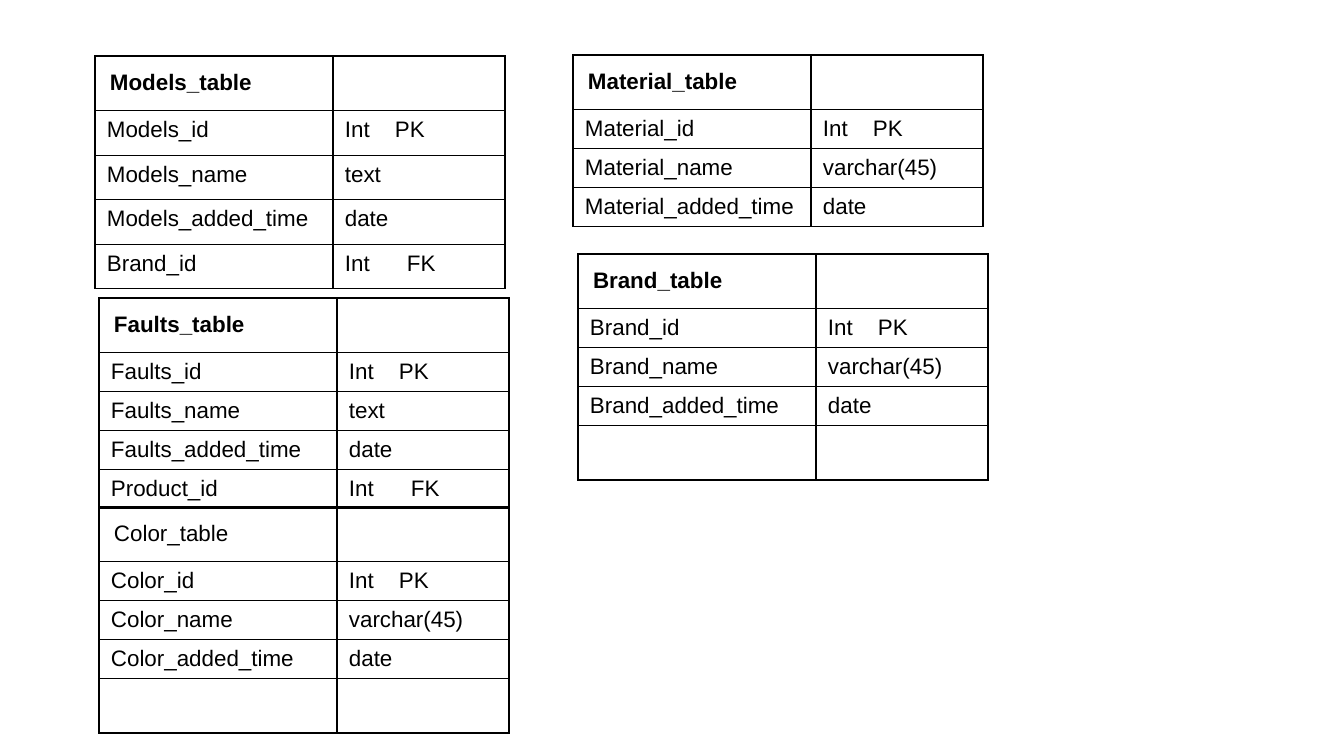
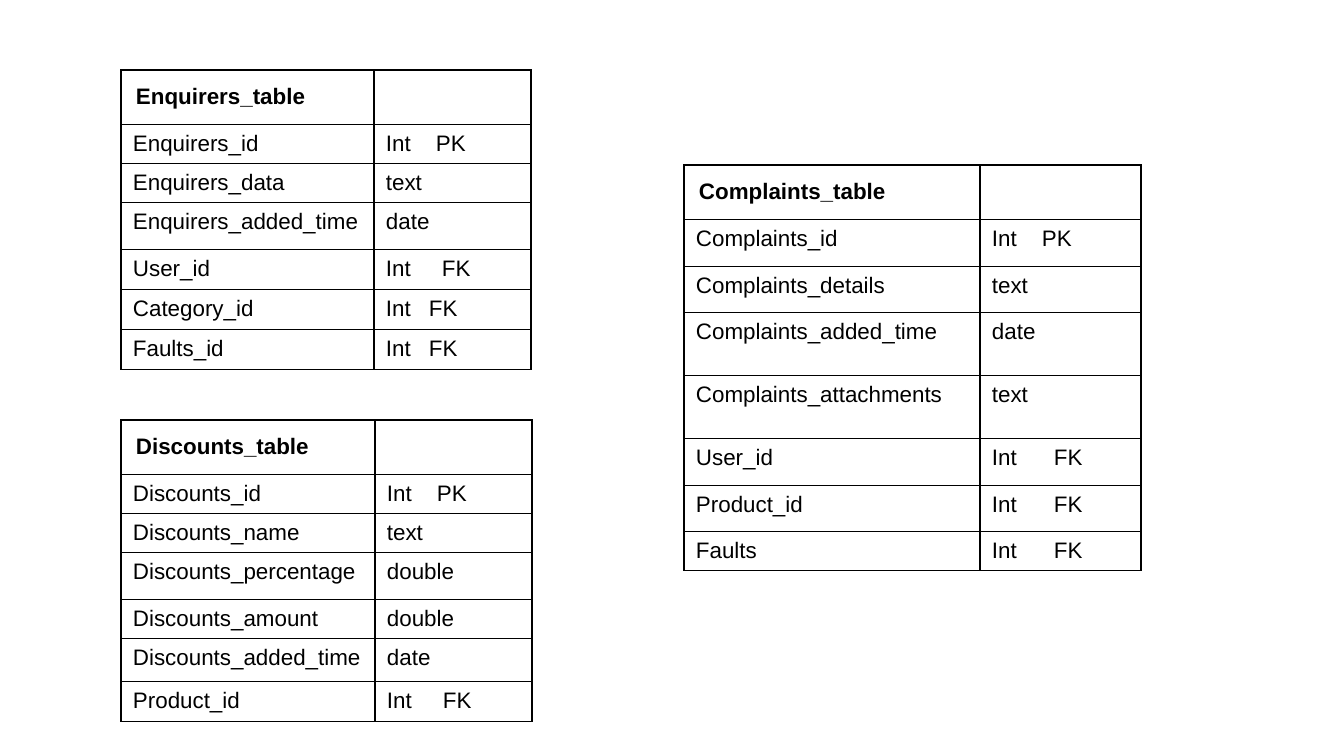
from dataclasses import dataclass

from lxml.etree import SubElement
from pptx import Presentation
from pptx.dml.color import RGBColor
from pptx.enum.text import MSO_ANCHOR
from pptx.oxml.ns import qn
from pptx.util import Emu, Pt

PX_PER_INCH = 134.4


def px(length):
    return Emu(round(length * 914400 / PX_PER_INCH))


@dataclass(frozen=True)
class Theme:
    font: str = "Arial"
    ink: str = "000000"
    text_size: int = 12
    line_spacing: float = 0.93
    header_height: int = 48
    row_height: int = 39
    header_indent: int = 3


THEME = Theme()
CELL_MARGINS = {"margin_left": 12, "margin_top": 8, "margin_right": 12, "margin_bottom": 7}


@dataclass(frozen=True)
class Key:
    """An integer key column whose role starts at a tab stop, in px."""
    role: str
    tab: int


PRIMARY = Key("PK", 50)
FOREIGN = Key("FK", 62)
FOREIGN_MEDIUM = Key("FK", 56)
FOREIGN_NARROW = Key("FK", 43)


@dataclass(frozen=True)
class Entity:
    """Position, column widths and fields of one database table.

    Each field is (name, type) or (name, type, row height).
    """
    title: str
    origin: tuple
    columns: tuple
    fields: tuple
    line_width: float = 1
    bold_title: bool = True


NARROW = (238, 172)
EMPTY = ("", "", THEME.header_height)

CATALOGUE = (
    Entity("Brand_table", (578, 254), NARROW, (
        ("Brand_id", PRIMARY), ("Brand_name", "varchar(45)"),
        ("Brand_added_time", "date"), EMPTY)),
    Entity("Color_table", (99, 507), NARROW, (
        ("Color_id", PRIMARY), ("Color_name", "varchar(45)"),
        ("Color_added_time", "date"), EMPTY), bold_title=False),
    Entity("Models_table", (95, 56), NARROW, (
        ("Models_id", PRIMARY, 45), ("Models_name", "text", 44),
        ("Models_added_time", "date", 45), ("Brand_id", FOREIGN, 44))),
    Entity("Material_table", (573, 55), NARROW, (
        ("Material_id", PRIMARY), ("Material_name", "varchar(45)"),
        ("Material_added_time", "date"))),
    Entity("Faults_table", (99, 298), NARROW, (
        ("Faults_id", PRIMARY), ("Faults_name", "text"),
        ("Faults_added_time", "date"), ("Product_id", FOREIGN))),
)

REQUESTS = (
    Entity("Complaints_table", (684, 165), (296, 161), (
        ("Complaints_id", PRIMARY, 47), ("Complaints_details", "text", 46),
        ("Complaints_added_time", "date", 63), ("Complaints_attachments", "text", 63),
        ("User_id", FOREIGN, 47), ("Product_id", FOREIGN, 46),
        ("Faults", FOREIGN)), 0.75),
    Entity("Enquirers_table", (121, 70), (253, 157), (
        ("Enquirers_id", PRIMARY), ("Enquirers_data", "text"),
        ("Enquirers_added_time", "date", 47), ("User_id", FOREIGN_MEDIUM, 40),
        ("Category_id", FOREIGN_NARROW, 40), ("Faults_id", FOREIGN_NARROW, 40)), 0.75),
    Entity("Discounts_table", (121, 420), (254, 157), (
        ("Discounts_id", PRIMARY), ("Discounts_name", "text"),
        ("Discounts_percentage", "double", 47), ("Discounts_amount", "double"),
        ("Discounts_added_time", "date", 43), ("Product_id", FOREIGN_MEDIUM, 40)), 0.75),
)


def format_object(target, values):
    for name, value in values.items():
        setattr(target, name, value)


def outline_cell(cell, line_width):
    properties = cell._tc.get_or_add_tcPr()
    for side in ("lnL", "lnR", "lnT", "lnB"):
        line = SubElement(properties, qn(f"a:{side}"), w=str(Pt(line_width)))
        fill = SubElement(line, qn("a:solidFill"))
        SubElement(fill, qn("a:srgbClr"), val=THEME.ink)
    cell.fill.background()


def write_cell(cell, content, bold=False):
    format_object(cell, {name: px(value) for name, value in CELL_MARGINS.items()})
    paragraph = cell.text_frame.paragraphs[0]
    paragraph.line_spacing = THEME.line_spacing
    run = paragraph.add_run()
    if isinstance(content, Key):
        run.text = f"Int\t{content.role}"
        stops = SubElement(paragraph._p.get_or_add_pPr(), qn("a:tabLst"))
        SubElement(stops, qn("a:tab"), pos=str(px(content.tab)), algn="l")
    else:
        run.text = content
    format_object(run.font, {"name": THEME.font, "size": Pt(THEME.text_size), "bold": bold})
    run.font.color.rgb = RGBColor.from_string(THEME.ink)


def write_header(cell, title, bold):
    write_cell(cell, title, bold)
    cell.vertical_anchor = MSO_ANCHOR.MIDDLE
    properties = cell.text_frame.paragraphs[0]._p.get_or_add_pPr()
    format_values = {"marL": px(THEME.header_indent), "indent": 0}
    for name, value in format_values.items():
        properties.set(name, str(value))


def add_entity(slide, entity):
    heights = [THEME.header_height]
    heights += [field[2] if len(field) > 2 else THEME.row_height for field in entity.fields]
    left, top = entity.origin
    table = slide.shapes.add_table(
        len(heights), len(entity.columns), px(left), px(top),
        px(sum(entity.columns)), px(sum(heights))).table
    format_object(table, {"first_row": False, "horz_banding": False})
    for column, width in zip(table.columns, entity.columns):
        column.width = px(width)
    for row, height in zip(table.rows, heights):
        row.height = px(height)
    for cell in table.iter_cells():
        outline_cell(cell, entity.line_width)

    write_header(table.cell(0, 0), entity.title, entity.bold_title)
    for row_index, field in enumerate(entity.fields, start=1):
        for column_index, content in enumerate(field[:2]):
            if content:
                write_cell(table.cell(row_index, column_index), content)


def add_schema_slide(presentation, entities):
    slide = presentation.slides.add_slide(presentation.slide_layouts.get_by_name("Blank"))
    for entity in entities:
        add_entity(slide, entity)


def main():
    presentation = Presentation()
    format_object(presentation, {"slide_width": px(1344), "slide_height": px(756)})
    for entities in (CATALOGUE, REQUESTS):
        add_schema_slide(presentation, entities)
    presentation.save("out.pptx")


if __name__ == "__main__":
    main()
